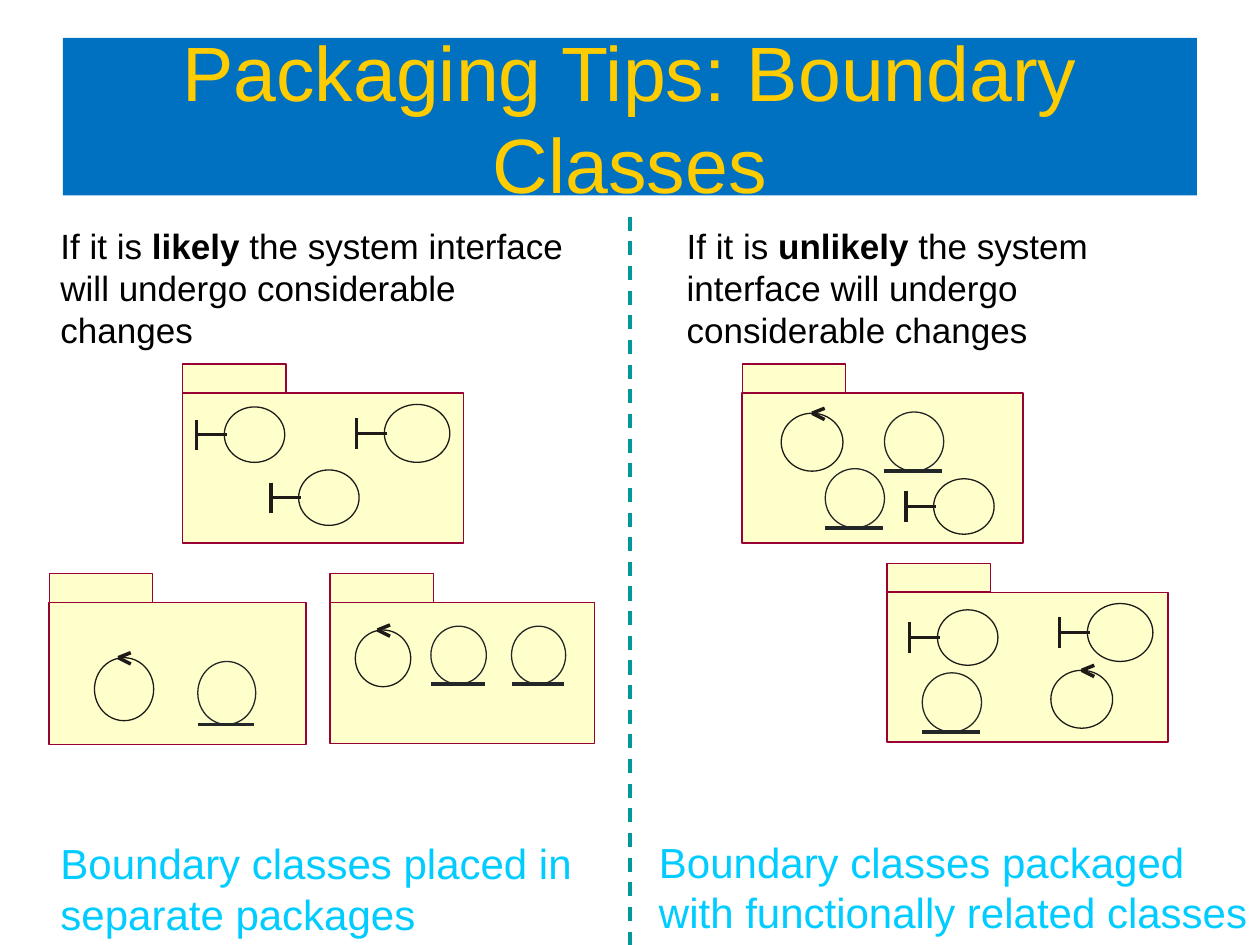
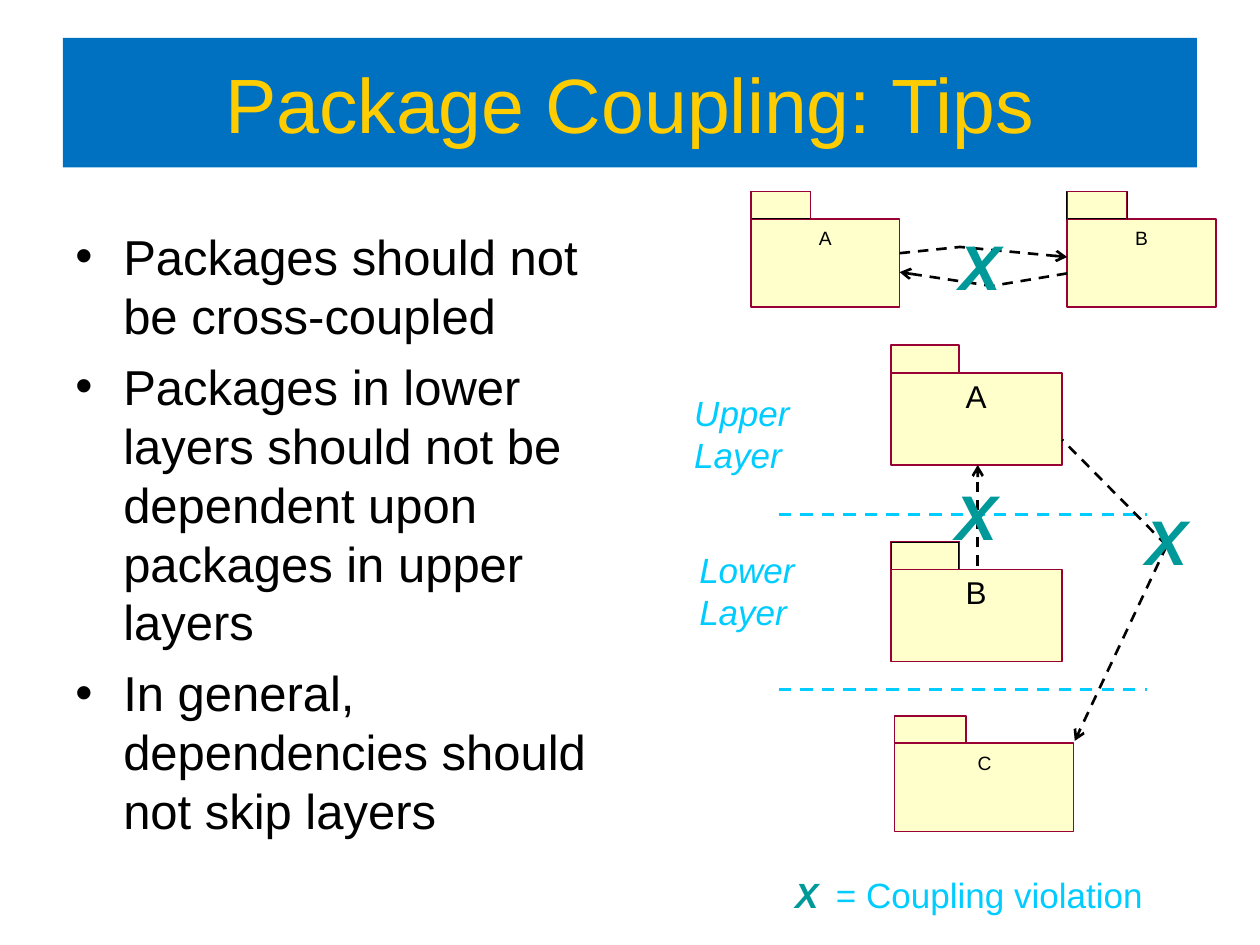
from pptx import Presentation
from pptx.dml.color import RGBColor
from pptx.enum.dml import MSO_LINE as Dash
from pptx.enum.shapes import MSO_CONNECTOR as Conn, MSO_SHAPE as Shape
from pptx.enum.text import MSO_ANCHOR as Anchor, PP_ALIGN as Align
from pptx.oxml.ns import qn
from pptx.util import Inches, Pt
from lxml.etree import SubElement

FONT = "Arial"
BLUE = RGBColor(0x00, 0x70, 0xC0)
GOLD = RGBColor(0xFF, 0xCC, 0x00)
CREAM = RGBColor(0xFF, 0xFF, 0xCC)
WINE = RGBColor(0x99, 0x00, 0x33)
INK = RGBColor(0x1F, 0x1A, 0x17)
SLATE = RGBColor(0x24, 0x27, 0x28)
BLACK = RGBColor(0, 0, 0)
TEAL = RGBColor(0x00, 0x99, 0x99)
SKY = RGBColor(0x00, 0xCC, 0xFF)
PAD = (0.12, 0.06)


def stroke(line, color, width, dash=False, arrow=False):
    line.color.rgb = color
    line.width = Pt(width)
    if dash:
        line.dash_style = Dash.DASH
    if arrow:
        SubElement(line._get_or_add_ln(), qn("a:tailEnd"), type="arrow")


def draw_line(slide, start, end, color, width=0, **style):
    points = [Inches(v) for v in (*start, *end)]
    link = slide.shapes.add_connector(Conn.STRAIGHT, *points)
    SubElement(link._element.spPr, qn("a:effectLst"))
    stroke(link.line, color, width, **style)


def draw_path(slide, points, color, width):
    spots = [(Inches(x), Inches(y)) for x, y in points]
    pen = slide.shapes.build_freeform(*spots[0])
    pen.add_line_segments(spots[1:], close=False)
    bend = pen.convert_to_shape()
    bend.shadow.inherit = False
    bend.fill.background()
    stroke(bend.line, color, width, dash=True, arrow=True)


def draw_shape(slide, kind, box, fill, color=None, width=0):
    shape = slide.shapes.add_shape(kind, *map(Inches, box))
    shape.shadow.inherit = False
    if fill is None:
        shape.fill.background()
    else:
        shape.fill.solid()
        shape.fill.fore_color.rgb = fill
    if color is None:
        shape.line.fill.background()
    else:
        stroke(shape.line, color, width)
    return shape


def add_run(para, text, size, color, bold=False, slant=False):
    run = para.add_run()
    run.text = text
    font = run.font
    font.name, font.size = FONT, Pt(size)
    font.bold, font.italic = bold, slant
    font.color.rgb = color


def add_text(slide, box, lines, pad=PAD, wrap=True):
    frame = slide.shapes.add_textbox(*map(Inches, box)).text_frame
    frame.word_wrap = wrap
    frame.margin_left = frame.margin_right = Inches(pad[0])
    frame.margin_top = frame.margin_bottom = Inches(pad[1])
    for i, runs in enumerate(lines):
        para = frame.add_paragraph() if i else frame.paragraphs[0]
        for run in runs:
            add_run(para, *run)
    return frame


def add_title(slide, text, height):
    band = draw_shape(slide, Shape.RECTANGLE, (0.5, 0.3, 9, height), BLUE)
    frame = band.text_frame
    frame.word_wrap = True
    frame.vertical_anchor = Anchor.MIDDLE
    para = frame.paragraphs[0]
    para.alignment = Align.CENTER
    add_run(para, text, 44, GOLD)


def add_pack(slide, box, tab, width=0, edge=WINE):
    x, y, _, _ = box
    wide, high = tab
    draw_shape(slide, Shape.RECTANGLE, box, CREAM, WINE, width)
    draw_shape(slide, Shape.RECTANGLE, (x, y - high, wide, high), CREAM, edge, width)
    if edge != WINE:
        draw_shape(slide, Shape.RECTANGLE, (x, y - high, wide, high), None, WINE)


def add_bound(slide, x, y, w, h):
    draw_shape(slide, Shape.OVAL, (x, y, w, h), CREAM, INK)
    mid, bar = y + h / 2, x - 0.22
    draw_line(slide, (bar, mid - 0.12), (bar, mid + 0.12), INK)
    draw_line(slide, (bar, mid), (x + 0.02, mid), INK)


def add_control(slide, x, y, w, h):
    draw_shape(slide, Shape.OVAL, (x, y, w, h), CREAM, INK)
    tip = x + (0.5 if w > h else 0.4) * w
    for rise in (-0.04, 0.05):
        draw_line(slide, (tip + 0.1, y + rise), (tip, y), INK)


def add_entity(slide, x, y, w, h):
    draw_shape(slide, Shape.OVAL, (x, y, w, h), CREAM, SLATE)
    draw_line(slide, (x, y + h), (x + w - 0.01, y + h), SLATE)


def add_model(slide, box, icons):
    add_pack(slide, box, (0.82, 0.23))
    for draw, x, y, w, h in icons:
        draw(slide, box[0] + x, box[1] + y, w, h)


def add_case(slide, left, word):
    size = 20, BLACK
    add_text(slide, (left, 1.72, 4.33, 1.12), [[
        ("If it is ", *size), (word, *size, True),
        (" the system interface will undergo considerable changes", *size)]])


def add_result(slide, box, lines):
    add_text(slide, box, [[(text, 24, SKY)] for text in lines], wrap=False)


def build_bounds(slide):
    add_title(slide, "Packaging Tips: Boundary Classes", 1.25)
    add_case(slide, 0.36, "likely")
    add_case(slide, 5.33, "unlikely")
    draw_line(slide, (5, 1.72), (5, 7.65), TEAL, 2, dash=True)
    models = [
        ((1.45, 3.12, 2.23, 1.19), [
            (add_bound, 1.6, 0.09, 0.52, 0.46),
            (add_bound, 0.92, 0.61, 0.48, 0.44),
            (add_bound, 0.33, 0.11, 0.48, 0.44)]),
        ((0.39, 4.78, 2.04, 1.13), [
            (add_control, 0.36, 0.44, 0.47, 0.5),
            (add_entity, 1.18, 0.47, 0.46, 0.5)]),
        ((2.62, 4.78, 2.1, 1.12), [
            (add_control, 0.2, 0.22, 0.44, 0.45),
            (add_entity, 1.44, 0.19, 0.43, 0.46),
            (add_entity, 0.8, 0.19, 0.44, 0.46)]),
        ((5.89, 3.12, 2.23, 1.19), [
            (add_control, 0.31, 0.16, 0.49, 0.46),
            (add_entity, 1.13, 0.15, 0.47, 0.47),
            (add_bound, 1.52, 0.68, 0.48, 0.44),
            (add_entity, 0.66, 0.6, 0.47, 0.47)]),
        ((7.04, 4.7, 2.23, 1.19), [
            (add_bound, 1.59, 0.09, 0.52, 0.46),
            (add_bound, 0.4, 0.14, 0.48, 0.44),
            (add_entity, 0.28, 0.64, 0.47, 0.47),
            (add_control, 1.3, 0.62, 0.49, 0.46)]),
    ]
    for box, icons in models:
        add_model(slide, box, icons)
    add_result(slide, (0.36, 6.59, 4.39, 0.92),
               ["Boundary classes placed in", "separate packages"])
    add_result(slide, (5.11, 6.58, 4.91, 0.92),
               ["Boundary classes packaged", "with functionally related classes"])


def add_tips(slide, box, tips):
    frame = add_text(slide, box, [[] for _ in tips], (0.1, 0.05))
    for i, (para, tip) in enumerate(zip(frame.paragraphs, tips)):
        props = para._p.get_or_add_pPr()
        props.set("marL", str(Inches(0.38)))
        props.set("indent", str(Inches(-0.38)))
        if i:
            para.space_before = Pt(7)
        tint = SubElement(props, qn("a:buClr"))
        SubElement(tint, qn("a:srgbClr"), val=str(BLACK))
        SubElement(props, qn("a:buFont"), typeface=FONT)
        SubElement(props, qn("a:buChar"), char="•")
        add_run(para, tip, 28, BLACK)


def add_named(slide, box, name, size, edge=WINE):
    x, y, w, _ = box
    add_pack(slide, box, (0.4 * w, 0.22), 1, edge)
    wide, drop = (0.17, 0.03) if size > 11 else (0.1, 0.06)
    add_text(slide, (x + (w - wide) / 2, y + drop, wide, size / 60),
             [[(name, size, BLACK)]], (0, 0), False)


def add_cross(slide, x, y):
    add_text(slide, (x, y, 0.69, 0.72), [[("X", 36, TEAL, True, True)]])


def add_pair(slide):
    add_named(slide, (5.96, 1.74, 1.18, 0.7), "A", 11, BLACK)
    add_named(slide, (8.47, 1.74, 1.18, 0.7), "B", 11, BLACK)
    draw_path(slide, [(8.47, 2.17), (7.87, 2.27), (7.14, 2.16)], BLACK, 1.5)
    draw_path(slide, [(7.14, 2.01), (7.62, 1.96), (8.47, 2.04)], BLACK, 1.5)
    add_cross(slide, 7.49, 1.75)


def add_layers(slide):
    for y in (4.08, 5.47):
        draw_line(slide, (6.18, y), (9.1, y), SKY, 1.75, dash=True)
    add_named(slide, (7.07, 2.96, 1.36, 0.73), "A", 18)
    add_named(slide, (7.07, 4.52, 1.36, 0.73), "B", 18, BLACK)
    add_named(slide, (7.1, 5.9, 1.42, 0.7), "C", 11)
    for name, x, y in (("Upper Layer", 5.39, 3.05), ("Lower Layer", 5.43, 4.29)):
        add_text(slide, (x, y, 1, 0.79), [[(name, 20, SKY, False, True)]])
    bend = (9.26, 4.33)
    draw_line(slide, (7.76, 4.49), (7.76, 3.69), BLACK, 1.5, dash=True, arrow=True)
    draw_line(slide, bend, (8.53, 5.88), BLACK, 1.5, dash=True, arrow=True)
    draw_line(slide, bend, (8.43, 3.49), BLACK, 1.5, dash=True)
    add_cross(slide, 7.46, 3.73)
    add_cross(slide, 8.97, 3.93)


def build_tips(slide):
    add_title(slide, "Package Coupling: Tips", 1.03)
    add_tips(slide, (0.5, 1.75, 4.72, 5.33), [
        "Packages should not be cross-coupled",
        "Packages in lower layers should not be dependent upon packages in upper layers",
        "In general, dependencies should not skip layers"])
    add_layers(slide)
    add_pair(slide)
    add_text(slide, (6.19, 6.65, 3.17, 0.72), [[
        ("X", 20, TEAL, True, True), (" ", 36, SKY, True, True),
        ("= Coupling violation", 20, SKY)]])


def main():
    deck = Presentation()
    deck.slide_width, deck.slide_height = Inches(10), Inches(7.5)
    for build in (build_bounds, build_tips):
        build(deck.slides.add_slide(deck.slide_layouts[6]))
    deck.save("out.pptx")


if __name__ == "__main__":
    main()
